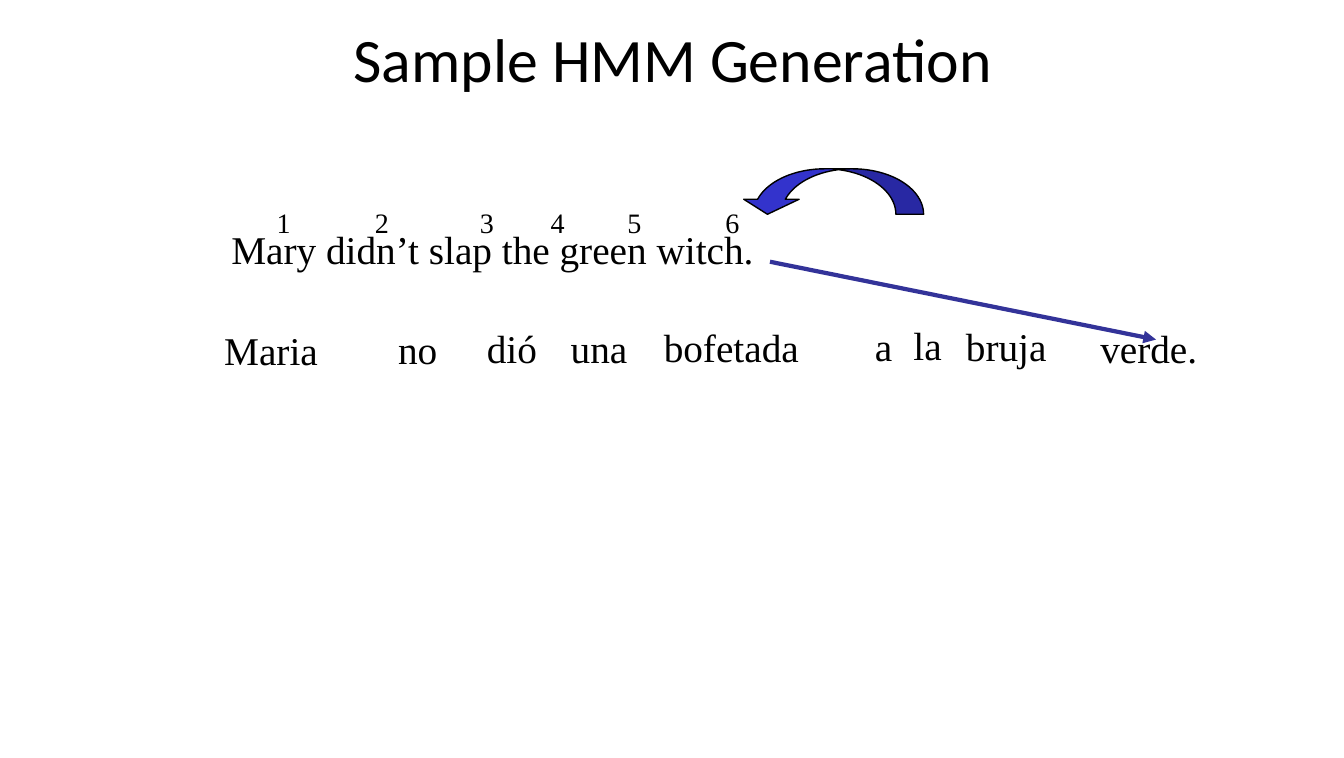
"""Build the slide that shows a sample HMM generation of a Spanish sentence."""
from dataclasses import dataclass

from lxml.etree import SubElement
from pptx import Presentation
from pptx.dml.color import RGBColor
from pptx.enum.shapes import MSO_CONNECTOR as Connector, MSO_SHAPE as Preset
from pptx.enum.text import MSO_ANCHOR as Anchor, MSO_AUTO_SIZE as AutoSize, PP_ALIGN as Align
from pptx.oxml.ns import qn
from pptx.slide import Slide
from pptx.text.text import TextFrame
from pptx.util import Emu, Pt

EMU_PER_PX = 9144
COLOURS = {"text": "000000", "paper": "FFFFFF", "jump": "3333CC", "emission": "333399"}
SERIF = "Times New Roman"


@dataclass(frozen=True)
class Word:
    text: str
    left: int
    top: int
    width: int


SENTENCE = Word("Mary didn’t slap the green witch.", 219, 218, 542)
SPANISH_WORDS = [
    Word("Maria", 212, 318, 114),
    Word("no", 384, 317, 59),
    Word("dió", 472, 316, 70),
    Word("una", 555, 316, 77),
    Word("bofetada", 647, 315, 155),
    Word("a", 856, 314, 38),
    Word("la", 894, 313, 48),
    Word("bruja", 946, 314, 101),
    Word("verde.", 1079, 316, 117),
]
POSITION_TABS = [42, 139, 243, 313, 389, 486]


def px(length: int) -> Emu:
    return Emu(length * EMU_PER_PX)


def colour(name: str) -> RGBColor:
    return RGBColor.from_string(COLOURS[name])


def write_text(frame: TextFrame, text: str, *, size: int = 28, font: str = SERIF,
               align: Align = Align.LEFT) -> None:
    paragraph = frame.paragraphs[0]
    paragraph.alignment = align
    run = paragraph.add_run()
    run.text = text
    run.font.size = Pt(size)
    run.font.name = font
    run.font.color.rgb = colour("text")


def add_title(slide: Slide, text: str) -> None:
    title = slide.shapes.title
    title.left, title.top, title.width, title.height = px(2), px(1), px(1328), px(112)
    title.fill.solid()
    title.fill.fore_color.rgb = colour("paper")
    title.text_frame.vertical_anchor = Anchor.MIDDLE
    write_text(title.text_frame, text, size=44, font="Calibri", align=Align.CENTER)


def add_word(slide: Slide, word: Word) -> None:
    box = slide.shapes.add_textbox(px(word.left), px(word.top), px(word.width), px(57))
    box.text_frame.word_wrap = False
    box.text_frame.auto_size = AutoSize.SHAPE_TO_FIT_TEXT
    write_text(box.text_frame, word.text)


def add_positions(slide: Slide, tabs: list[int]) -> None:
    box = slide.shapes.add_textbox(px(222), px(198), px(525), px(44))
    box.text_frame.word_wrap = True
    numbers = "".join(f"\t{number}" for number in range(1, len(tabs) + 1))
    write_text(box.text_frame, numbers, size=20)
    properties = box.text_frame.paragraphs[0]._p.get_or_add_pPr()
    tab_list = SubElement(properties, qn("a:tabLst"))
    for tab in tabs:
        SubElement(tab_list, qn("a:tab"), pos=str(px(tab)), algn="l")


def add_jump(slide: Slide) -> None:
    arrow = slide.shapes.add_shape(Preset.CURVED_DOWN_ARROW, px(732), px(167), px(182), px(45))
    arrow.shadow.inherit = False
    for index, value in enumerate((0.61, 1.22, 0.33)):
        arrow.adjustments[index] = value
    arrow._element.spPr.find(qn("a:xfrm")).set("flipH", "1")
    arrow.fill.solid()
    arrow.fill.fore_color.rgb = colour("jump")
    arrow.line.color.rgb = colour("text")
    arrow.line.width = Pt(1)


def add_emission(slide: Slide) -> None:
    arrow = slide.shapes.add_connector(Connector.STRAIGHT, px(762), px(259), px(1144), px(336))
    arrow.line.color.rgb = colour("emission")
    arrow.line.width = Pt(3)
    SubElement(arrow.line._get_or_add_ln(), qn("a:tailEnd"), type="triangle")
    SubElement(arrow._element.spPr, qn("a:effectLst"))


def main() -> None:
    presentation = Presentation()
    presentation.slide_width, presentation.slide_height = px(1330), px(750)
    slide = presentation.slides.add_slide(presentation.slide_layouts[5])
    add_title(slide, "Sample HMM Generation")
    for word in [SENTENCE, *SPANISH_WORDS]:
        add_word(slide, word)
    add_positions(slide, POSITION_TABS)
    add_jump(slide)
    add_emission(slide)
    presentation.save("out.pptx")


if __name__ == "__main__":
    main()
